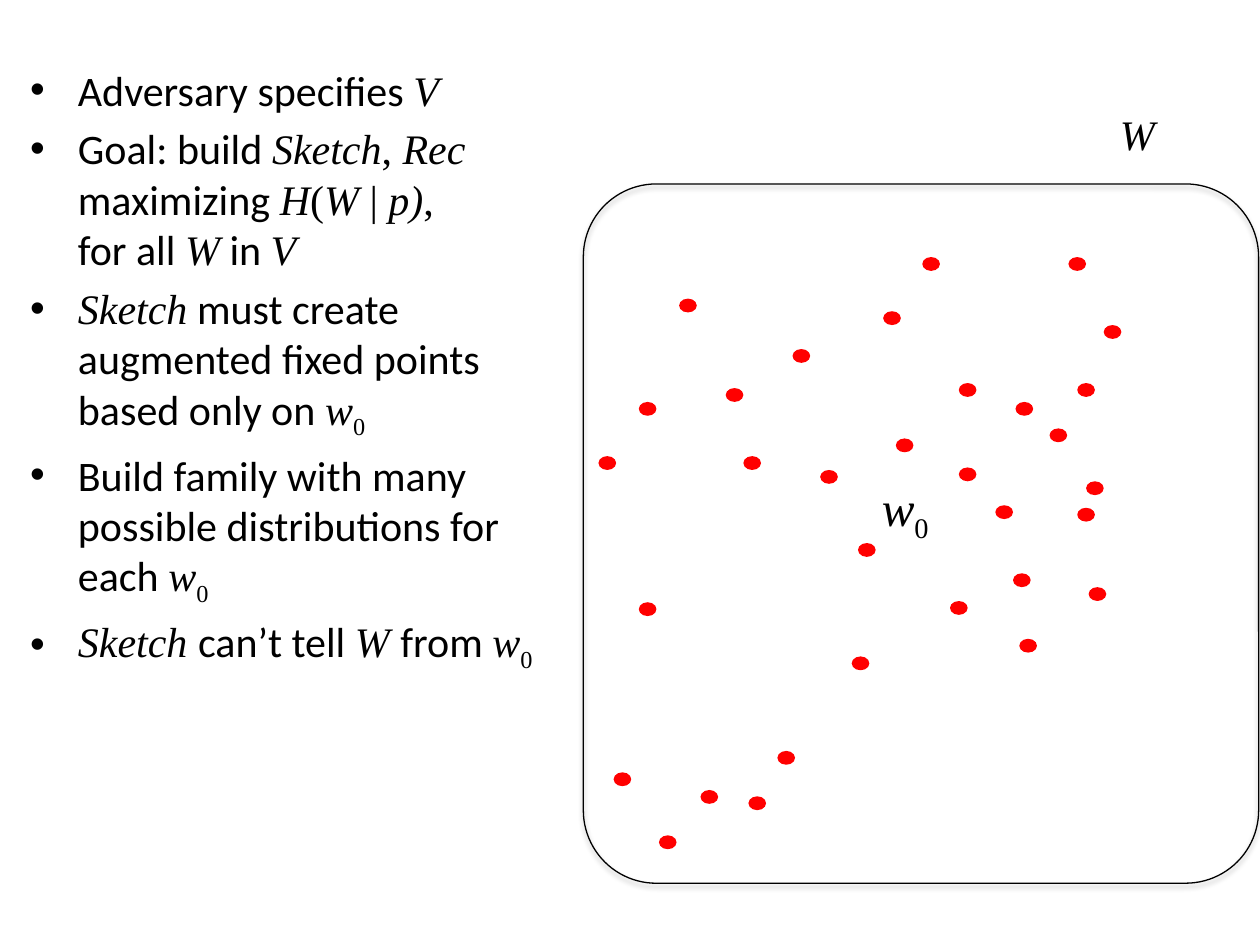
import pptx
import pptx.util
import pptx.dml.color
import pptx.enum.shapes
import pptx.enum.text
import pptx.oxml
import pptx.oxml.ns

RGB = pptx.dml.color.RGBColor
BLACK = RGB(0, 0, 0)
WHITE = RGB(255, 255, 255)
RED = RGB(255, 0, 0)
SHAPE = pptx.enum.shapes.MSO_SHAPE
FIT = pptx.enum.text.MSO_AUTO_SIZE
Pt = pptx.util.Pt

WIDE, HIGH = pptx.util.Inches(10), pptx.util.Inches(7.5)
UNIT = WIDE / 10  # the slide is a grid of 10 columns and 7.5 rows

# Run styles: font, italic, subscript
STYLES = {
    "sans": ("Calibri", False, False),
    "var": ("Times New Roman", True, False),
    "math": ("Times New Roman", False, False),
    "sub": ("Times New Roman", False, True),
}
SEED = [("var", "w"), ("sub", "0")]
BREAK = ("break", "")
POINTS = [
    [("sans", "Adversary specifies "), ("var", "V")],
    [("sans", "Goal: build "), ("var", "Sketch"), ("math", ","),
     ("var", " Rec"), ("sans", " maximizing "), ("var", "H"),
     ("math", "("), ("var", "W"), ("math", " | "), ("var", "p)"),
     ("math", ", "), BREAK, ("sans", "for all "), ("var", "W"),
     ("sans", " in "), ("var", "V")],
    [("var", "Sketch"),
     ("sans", " must create augmented fixed points based only on "), *SEED],
    [("sans", "Build family with many possible distributions for each "),
     *SEED],
    [("var", "Sketch "), ("sans", "can’t tell "), ("var", "W "),
     ("sans", "from "), *SEED],
]

# Column and row of each dot, counted from the corner of the space
DOTS = [
    (2.13, 3.75), (2.18, 2.85), (2.98, 1.58), (3.27, 2.55),
    (4.01, 3.2), (3.41, 3.09), (3.92, 2.57), (0.76, 0.91),
    (0.12, 2.16), (3.99, 2.36), (0.6, 5.17), (0.24, 4.67),
    (1.13, 1.62), (1.88, 2.27), (0.93, 4.81), (1.54, 4.5),
    (1.27, 2.16), (0.44, 3.32), (1.31, 4.86), (0.44, 1.73),
    (2.98, 2.25), (3.46, 3.61), (2.91, 3.31), (3.92, 1.58),
    (2.48, 2.02), (3.7, 1.94), (2.38, 1.01), (3.85, 0.58),
    (3.43, 1.73), (4.13, 1.12), (1.66, 1.31), (2.69, 0.58),
]


def grid(*cells):
    return [round(cell * UNIT) for cell in cells]


def write(para, runs, size):
    for style, text in runs:
        if style == "break":
            para.add_line_break()
            continue
        face, slant, low = STYLES[style]
        run = para.add_run()
        run.text = text
        font = run.font
        font.name, font.size, font.italic = face, Pt(size), slant
        font.color.rgb = BLACK
        if low:
            font._element.set("baseline", "-25000")


def label(slide, box, runs, size):
    area = slide.shapes.add_textbox(*grid(*box))
    area.text_frame.word_wrap = False
    area.text_frame.auto_size = FIT.SHAPE_TO_FIT_TEXT
    write(area.text_frame.paragraphs[0], runs, size)
    return area


def shade(shape):
    """Give the shape a soft shadow straight below it."""
    shape._element.spPr.append(pptx.oxml.parse_xml(
        f'<a:effectLst {pptx.oxml.ns.nsdecls("a")}>'
        '<a:outerShdw blurRad="39370" dist="22860" dir="5400000" '
        'rotWithShape="0"><a:srgbClr val="000000"><a:alpha val="35000"/>'
        '</a:srgbClr></a:outerShdw></a:effectLst>'))


def space(slide, box):
    """Draw the rounded space with its labels and scattered dots."""
    left, top = box[:2]
    frame = slide.shapes.add_shape(SHAPE.ROUNDED_RECTANGLE, *grid(*box))
    frame.adjustments[0] = 0.108
    frame.fill.background()
    frame.line.color.rgb = BLACK
    frame.line.width = Pt(0.75)
    shade(frame)

    seed = label(slide, (left + 2.27, top + 2.28, 0.64, 0.57), SEED, 28)
    seed.line.color.rgb = WHITE
    seed.line.width = Pt(0.75)
    label(slide, (left + 4.16, top - 0.65, 0.59, 0.5), [("var", "W")], 24)

    cloud = slide.shapes.add_group_shape()
    for col, row in DOTS:
        dot = cloud.shapes.add_shape(
            SHAPE.OVAL, *grid(left + col, top + row, 0.14, 0.11))
        dot.shadow.inherit = False
        dot.fill.solid()
        dot.fill.fore_color.rgb = RED
        dot.line.fill.background()


def bullet(para):
    props = para._p.get_or_add_pPr()
    inset = grid(0.38)[0]
    props.set("marL", str(inset))
    props.set("indent", str(-inset))
    space = pptx.oxml.ns.nsdecls("a")
    props.append(pptx.oxml.parse_xml(
        f'<a:buFont {space} typeface="Arial"/>'))
    props.append(pptx.oxml.parse_xml(f'<a:buChar {space} char="•"/>'))


def points(slide, box):
    frame = slide.shapes.add_textbox(*grid(*box)).text_frame
    frame.word_wrap = True
    for i, runs in enumerate(POINTS):
        para = frame.add_paragraph() if i else frame.paragraphs[0]
        para.space_before = Pt(4.8)
        bullet(para)
        write(para, runs, 24)


def main():
    deck = pptx.Presentation()
    deck.slide_width, deck.slide_height = WIDE, HIGH
    slide = deck.slides.add_slide(deck.slide_layouts[6])
    space(slide, (4.63, 1.46, 5.36, 5.55))
    points(slide, (0.14, 0.46, 4.49, 6.73))
    deck.save("out.pptx")


if __name__ == "__main__":
    main()
